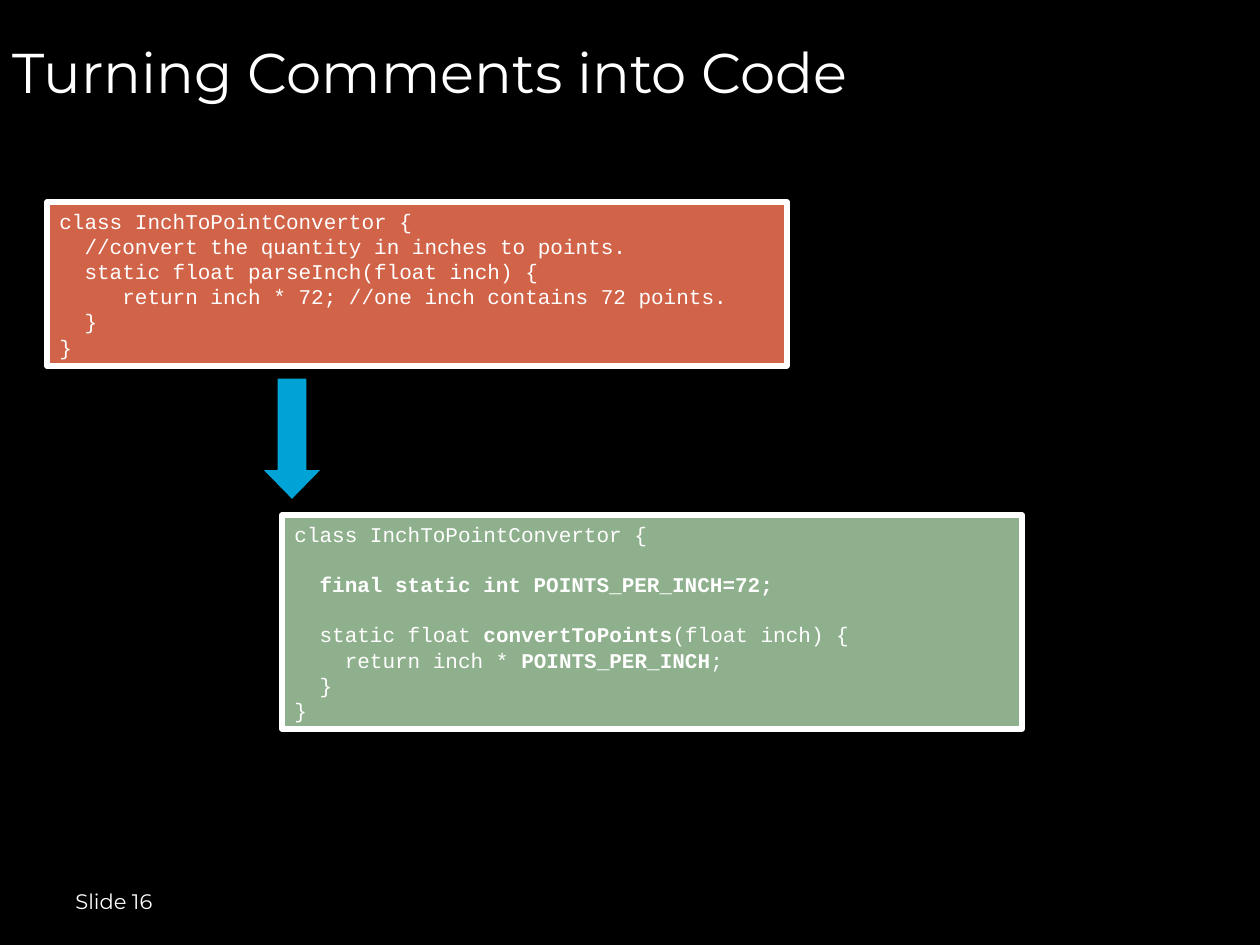
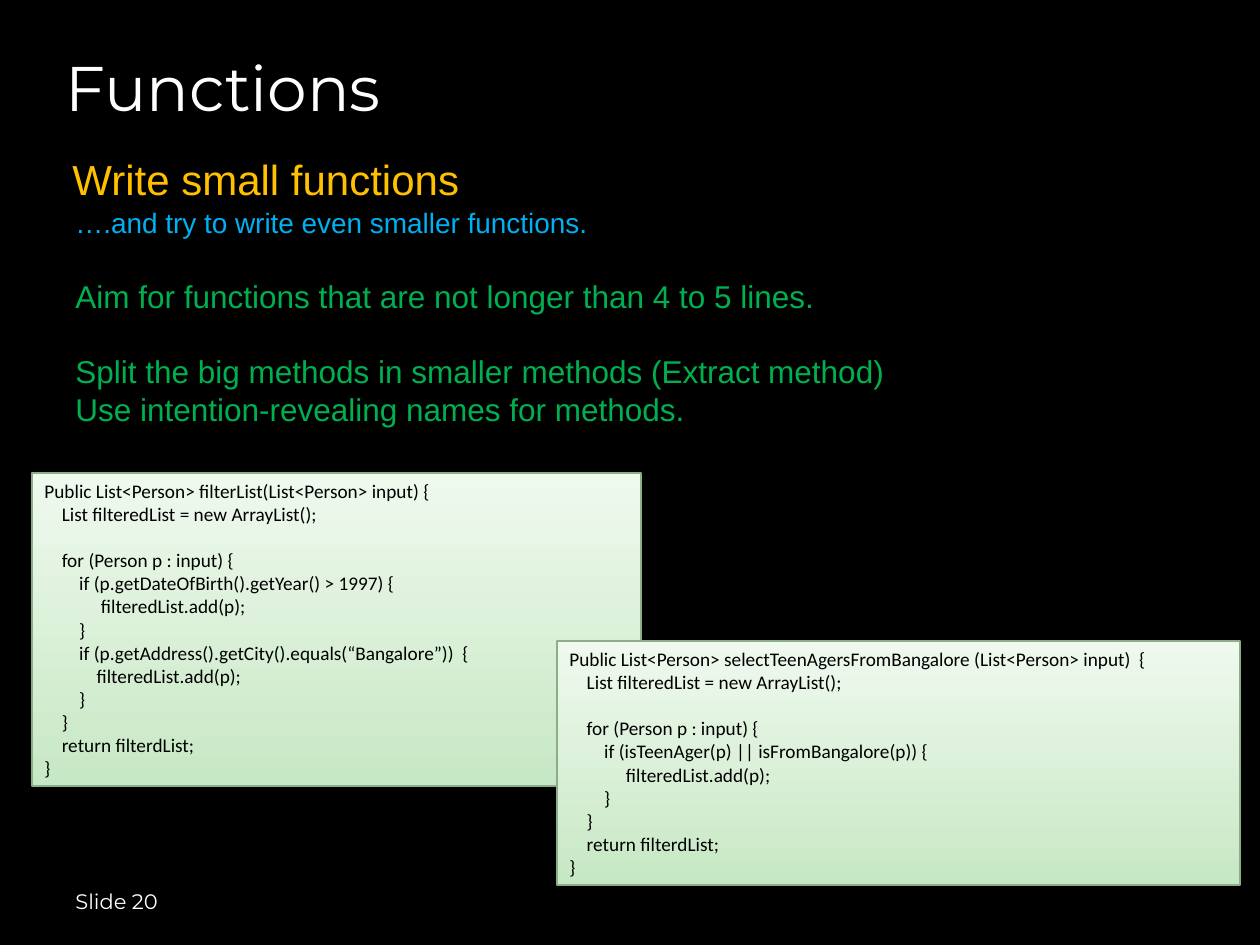
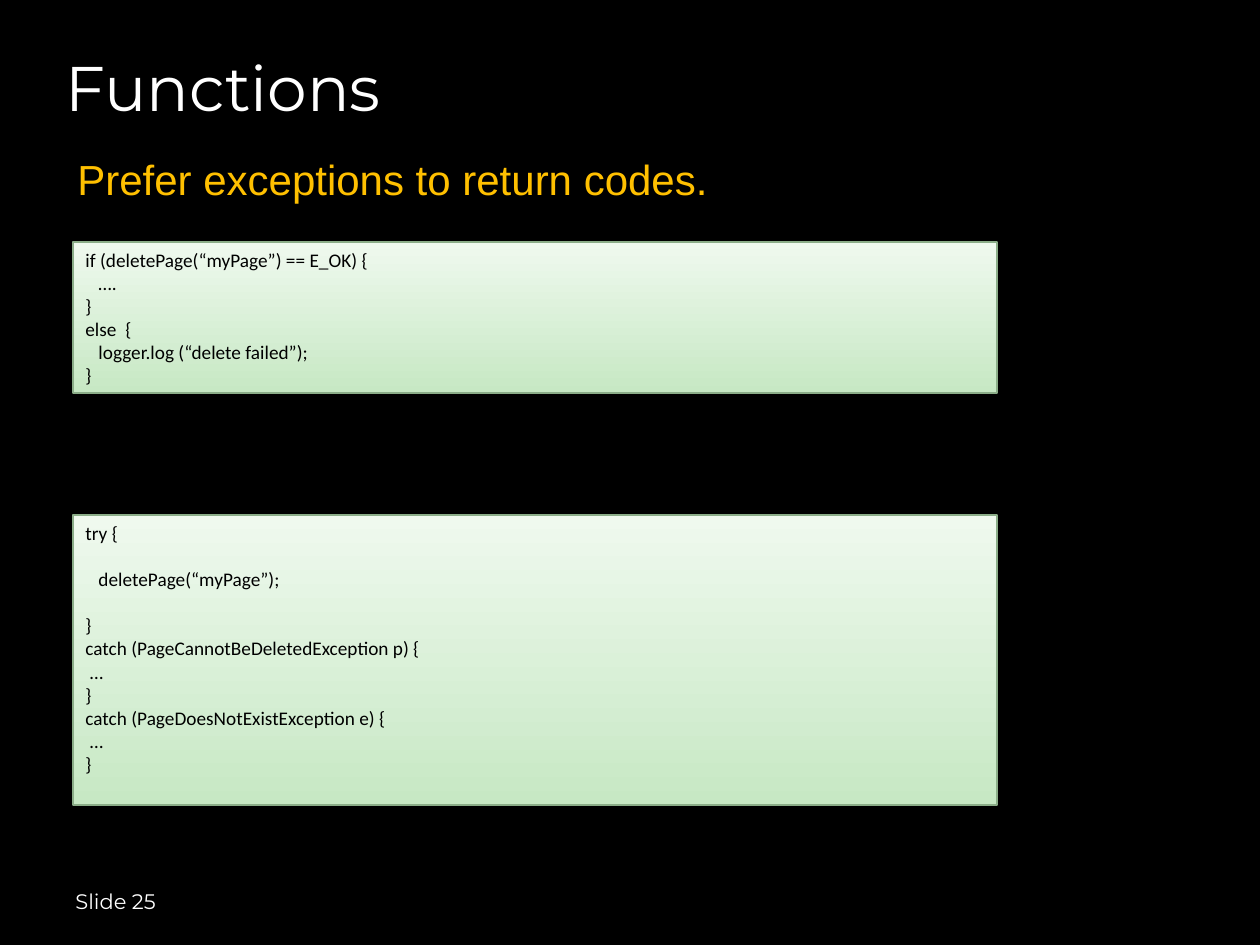
"""Build three dark slides on clean code with code panels."""
from dataclasses import dataclass

from pptx import Presentation
from pptx.dml.color import RGBColor
from pptx.enum.shapes import MSO_SHAPE
from pptx.enum.text import MSO_ANCHOR, MSO_AUTO_SIZE, PP_ALIGN
from pptx.util import Emu, Pt

RECT, DOWN_ARROW = MSO_SHAPE.RECTANGLE, MSO_SHAPE.DOWN_ARROW
TOP, MIDDLE = MSO_ANCHOR.TOP, MSO_ANCHOR.MIDDLE
LEFT, NO_FIT = PP_ALIGN.LEFT, MSO_AUTO_SIZE.NONE
TITLE_ONLY = 5
PX = 914400 / 126


@dataclass(frozen=True)
class Style:
    font: str
    size: int
    color: str


@dataclass(frozen=True)
class Panel:
    fill: tuple
    line: str
    width: float
    text: Style


class Theme:
    background = "000000"
    arrow = "00A3D6"
    long_title = Style("Montserrat", 32, "FFFFFF")
    title = Style("Montserrat", 36, "FFFFFF")
    footer = Style("Montserrat", 12, "FFFFFF")
    heading = Style("Arial", 24, "FFC000")
    aside = Style("Arial", 16, "00B0F0")
    tip = Style("Arial", 18, "00B050")
    mono = Style("Courier New", 12, "FFFFFF")
    code = Style("Calibri", 11, "000000")
    before = Panel(("D16349",), "FFFFFF", 3, mono)
    after = Panel(("8FB08C",), "FFFFFF", 3, mono)
    pale = Panel(("C7E8C4", "EFF9EE"), "8BAD88", 0.75, code)
    leading = 1.2


COMMENTED = """\
class InchToPointConvertor {
  //convert the quantity in inches to points.
  static float parseInch(float inch) {
     return inch * 72; //one inch contains 72 points.
  }
}"""

SELF_EXPLAINING = """\
class InchToPointConvertor {

**  final static int POINTS_PER_INCH=72;**

  static float **convertToPoints**(float inch) {
    return inch * **POINTS_PER_INCH**;
  }
}"""

LONG_FUNCTION = """\
Public List<Person> filterList(List<Person> input) {
    List filteredList = new ArrayList();

    for (Person p : input) {
        if (p.getDateOfBirth().getYear() > 1997) {
             filteredList.add(p);
        }
        if (p.getAddress().getCity().equals(“Bangalore”))  {
            filteredList.add(p);
        }
    }
    return filterdList;
}"""

SMALL_FUNCTION = """\
Public List<Person> selectTeenAgersFromBangalore (List<Person> input)  {
    List filteredList = new ArrayList();

    for (Person p : input) {
        if (isTeenAger(p) || isFromBangalore(p)) {
             filteredList.add(p);
        }
    }
    return filterdList;
}"""

RETURN_CODE = """\
if (deletePage(“myPage”) == E_OK) {
   ….
}
else  {
   logger.log (“delete failed”);
}"""

EXCEPTIONS = """\
try {

   deletePage(“myPage”);

}
catch (PageCannotBeDeletedException p) {
 …
}
catch (PageDoesNotExistException e) {
 …
}"""

TIPS = [
    ("….and try to write even smaller functions.", Theme.aside, 0),
    ("Aim for functions that are not longer than 4 to 5 lines.", Theme.tip, 21.6),
    ("Split the big methods in smaller methods (Extract method)", Theme.tip, 21.6),
    ("Use intention-revealing names for methods.", Theme.tip, 0),
]

FUNCTIONS_BOX = (53, 42, 1134, 88)
FOOTER_BOX = (63, 876, 294, 50)
TIPS_BOX = (63, 199, 914, 236)
ARROW_BOX = (262, 378, 60, 122)

SLIDES = [
    {
        "number": 16,
        "title": ("Turning Comments into Code", Theme.long_title, (0, 42, 935, 58)),
        "panels": [
            (COMMENTED, Theme.before, (47, 202, 740, 164)),
            (SELF_EXPLAINING, Theme.after, (282, 515, 740, 214)),
        ],
        "arrow": ARROW_BOX,
    },
    {
        "number": 20,
        "title": ("Functions", Theme.title, FUNCTIONS_BOX),
        "heading": ("Write small functions", (60, 147, 412, 63)),
        "tips": TIPS,
        "panels": [
            (LONG_FUNCTION, Theme.pale, (32, 473, 609, 313)),
            (SMALL_FUNCTION, Theme.pale, (557, 641, 683, 244)),
        ],
    },
    {
        "number": 25,
        "title": ("Functions", Theme.title, FUNCTIONS_BOX),
        "heading": ("Prefer exceptions to return codes.", (65, 147, 655, 63)),
        "panels": [
            (RETURN_CODE, Theme.pale, (73, 242, 924, 151)),
            (EXCEPTIONS, Theme.pale, (73, 515, 924, 290)),
        ],
    },
]


def rgb(color):
    return RGBColor.from_string(color)


def emu(box):
    return [Emu(round(v * PX)) for v in box]


def apply_font(font, style, bold=False):
    font.name, font.size, font.bold = style.font, Pt(style.size), bold
    font.color.rgb = rgb(style.color)


def write(shape, lines, anchor=TOP, wrap=True):
    """Write (text, style, space before) lines; ** switches bold."""
    tf = shape.text_frame
    tf.word_wrap, tf.auto_size, tf.vertical_anchor = wrap, NO_FIT, anchor
    for i, (text, style, gap) in enumerate(lines):
        p = tf.add_paragraph() if i else tf.paragraphs[0]
        p.alignment = LEFT
        p.line_spacing = Pt(style.size * Theme.leading)
        if gap:
            p.space_before = Pt(gap)
        apply_font(p.font, style)
        for j, part in enumerate(text.split("**")):
            if part:
                r = p.add_run()
                r.text = part
                apply_font(r.font, style, j % 2 == 1)


def add_text(s, box, lines, **options):
    write(s.shapes.add_textbox(*emu(box)), lines, **options)


def add_title(s, text, style, box):
    sp = s.shapes.title
    sp.left, sp.top, sp.width, sp.height = emu(box)
    write(sp, [(text, style, 0)], anchor=MIDDLE)


def add_figure(s, kind, box, fill, line, width):
    sp = s.shapes.add_shape(kind, *emu(box))
    sp.shadow.inherit = False
    if len(fill) == 1:
        sp.fill.solid()
        sp.fill.fore_color.rgb = rgb(fill[0])
    else:
        sp.fill.gradient()
        sp.fill.gradient_angle = 90
        for stop, color in zip(sp.fill.gradient_stops, fill):
            stop.color.rgb = rgb(color)
    sp.line.color.rgb = rgb(line)
    sp.line.width = Pt(width)
    return sp


def add_panel(s, code, panel, box):
    sp = add_figure(s, RECT, box, panel.fill, panel.line, panel.width)
    write(sp, [(line, panel.text, 0) for line in code.splitlines()])


def add_arrow(s, box):
    sp = add_figure(s, DOWN_ARROW, box, (Theme.arrow,), Theme.background, 0.75)
    sp.adjustments[0], sp.adjustments[1] = 0.5, 0.51


def add_slide(prs, content):
    s = prs.slides.add_slide(prs.slide_layouts[TITLE_ONLY])
    add_title(s, *content["title"])
    add_text(s, FOOTER_BOX, [(f"Slide {content['number']}", Theme.footer, 0)], anchor=MIDDLE)
    if "heading" in content:
        text, box = content["heading"]
        add_text(s, box, [(text, Theme.heading, 0)], wrap=False)
    if "tips" in content:
        add_text(s, TIPS_BOX, content["tips"])
    for panel in content["panels"]:
        add_panel(s, *panel)
    if "arrow" in content:
        add_arrow(s, content["arrow"])


def main():
    prs = Presentation()
    prs.slide_width, prs.slide_height = emu((1260, 945))
    fill = prs.slide_master.background.fill
    fill.solid()
    fill.fore_color.rgb = rgb(Theme.background)
    for content in SLIDES:
        add_slide(prs, content)
    prs.save("out.pptx")


if __name__ == "__main__":
    main()
